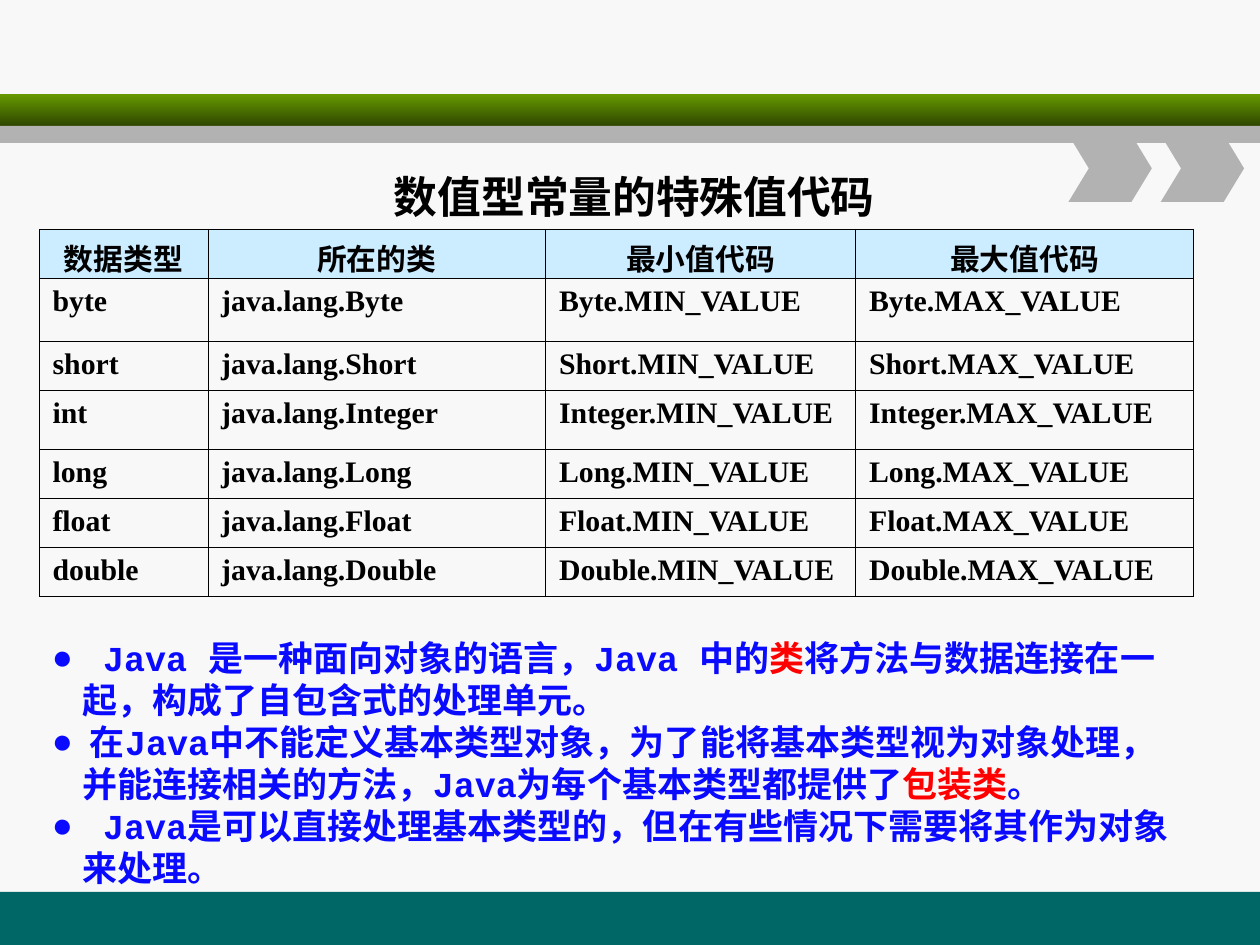
from lxml import etree
from pptx import Presentation
from pptx.dml.color import RGBColor
from pptx.enum.shapes import MSO_SHAPE
from pptx.enum.text import MSO_ANCHOR, MSO_AUTO_SIZE, PP_ALIGN
from pptx.oxml.ns import qn
from pptx.util import Cm, Pt

RECT = MSO_SHAPE.RECTANGLE
TOP = MSO_ANCHOR.TOP
GROW = MSO_AUTO_SIZE.SHAPE_TO_FIT_TEXT
LEFT, CENTER = PP_ALIGN.LEFT, PP_ALIGN.CENTER

BLACK = RGBColor(0, 0, 0)
PAPER = RGBColor(0xF8, 0xF8, 0xF8)
TEAL = RGBColor(0x00, 0x66, 0x66)
GREEN = RGBColor(0x66, 0x99, 0x00)
MOSS = RGBColor(0x2F, 0x47, 0x00)
GRAY = RGBColor(0xB2, 0xB2, 0xB2)
SKY = RGBColor(0xCC, 0xEC, 0xFF)
BLUE = RGBColor(0x0A, 0x0A, 0xFF)
RED = RGBColor(0xFF, 0, 0)

HEAD = {"name": "Courier New", "size": Pt(25), "bold": True}
BODY = {"name": "Courier New", "size": Pt(20), "bold": True}
CELL = {"name": "Times New Roman", "size": Pt(17), "bold": True}

TITLE = "数值型常量的特殊值代码"
LABELS = ["数据类型", "所在的类", "最小值代码", "最大值代码"]
TYPES = {"byte": "Byte", "short": "Short", "int": "Integer",
         "long": "Long", "float": "Float", "double": "Double"}
COLS = [3.4, 6.81, 6.25, 6.81]
ROWS = [0.99, 1.27, 0.99, 1.19, 0.99, 0.99, 0.99]

# Each point is a list of (text, colour) runs
POINTS = [
    [(" Java 是一种面向对象的语言，Java 中的", BLUE), ("类", RED),
     ("将方法与数据连接在一起，构成了自包含式的处理单元。", BLUE)],
    [(" 在Java中不能定义基本类型对象，为了能将基本类型视为对象处理，"
      "并能连接相关的方法，Java为每个基本类型都提供了", BLUE),
     ("包装类", RED), ("。", BLUE)],
    [(" Java是可以直接处理基本类型的，但在有些情况下需要将其作为对象来处理。",
      BLUE)],
]


def style(font, form, color):
    for key, val in form.items():
        setattr(font, key, val)
    font.color.rgb = color


def place(shape, *box):
    for key, val in zip(("left", "top", "width", "height"), box):
        setattr(shape, key, Cm(val))


def write(para, runs, form, align=LEFT):
    para.alignment = align
    para.space_before = Pt(0)
    for text, color in runs:
        run = para.add_run()
        run.text = text
        style(run.font, form, color)


def paint(shape, color):
    shape.fill.solid()
    shape.fill.fore_color.rgb = color
    shape.line.fill.background()
    shape.shadow.inherit = False


def bar(slide, top, high, color, end=None):
    shape = slide.shapes.add_shape(RECT, 0, Cm(top), Cm(25.4), Cm(high))
    paint(shape, color)
    if end is not None:
        shape.fill.gradient()
        shape.fill.gradient_angle = 270
        for stop, tone in zip(shape.fill.gradient_stops, (color, end)):
            stop.color.rgb = tone


def chevron(slide, left, top=2.72, wide=1.68, high=1.35, notch=0.41):
    mid, right = top + high / 2, left + wide
    dots = [(left, top), (right - notch, top), (right, mid),
            (right - notch, top + high), (left, top + high),
            (left + notch, mid)]
    dots = [(Cm(x), Cm(y)) for x, y in dots]
    build = slide.shapes.build_freeform(*dots[0])
    build.add_line_segments(dots[1:], close=True)
    paint(build.convert_to_shape(), GRAY)


def border(cell):
    props = cell._tc.get_or_add_tcPr()
    for side in ("lnL", "lnR", "lnT", "lnB"):
        line = etree.SubElement(props, qn("a:" + side), w=str(Pt(0.45)))
        fill = etree.SubElement(line, qn("a:solidFill"))
        etree.SubElement(fill, qn("a:srgbClr"), val=str(BLACK))


def grid(slide):
    data = [LABELS] + [
        [kind, f"java.lang.{name}", f"{name}.MIN_VALUE", f"{name}.MAX_VALUE"]
        for kind, name in TYPES.items()]
    table = slide.shapes.add_table(
        len(ROWS), len(COLS), Cm(0.79), Cm(4.62),
        Cm(sum(COLS)), Cm(sum(ROWS))).table
    table.first_row = table.horz_banding = False
    for col, wide in zip(table.columns, COLS):
        col.width = Cm(wide)
    for r, (row, high) in enumerate(zip(table.rows, ROWS)):
        row.height = Cm(high)
        for cell, text in zip(row.cells, data[r]):
            cell.margin_left = cell.margin_right = Cm(0.27)
            border(cell)
            if r == 0:
                cell.fill.solid()
                cell.fill.fore_color.rgb = SKY
            else:
                cell.fill.background()
            write(cell.text_frame.paragraphs[0], [(text, BLACK)], CELL,
                  LEFT if r else CENTER)


def bullet(para):
    props = para._p.get_or_add_pPr()
    props.set("marL", str(Cm(0.61)))
    props.set("indent", str(-Cm(0.61)))
    tint = etree.SubElement(props, qn("a:buClr"))
    etree.SubElement(tint, qn("a:srgbClr"), val=str(BLUE))
    etree.SubElement(props, qn("a:buChar"), char="●")


def frame(shape, *box):
    place(shape, *box)
    text = shape.text_frame
    text.word_wrap = True
    text.auto_size = GROW
    text.vertical_anchor = TOP
    return text


def main():
    deck = Presentation()
    deck.slide_width, deck.slide_height = Cm(25.4), Cm(19.05)
    slide = deck.slides.add_slide(deck.slide_layouts[1])
    slide.background.fill.solid()
    slide.background.fill.fore_color.rgb = PAPER

    # Bars and chevrons
    bar(slide, 17.98, 1.07, TEAL)
    bar(slide, 1.9, 0.64, GREEN, MOSS)
    bar(slide, 2.54, 0.34, GRAY)
    for left in (21.54, 23.4):
        chevron(slide, left)

    # Table of types
    grid(slide)

    # Title
    head = frame(slide.shapes.title, 5.94, 3.3, 13.69, 1.32)
    write(head.paragraphs[0], [(TITLE, BLACK)], HEAD, CENTER)

    # Bullet list
    body = frame(slide.placeholders[1], 0.79, 12.7, 23.27, 5.33)
    for i, runs in enumerate(POINTS):
        para = body.add_paragraph() if i else body.paragraphs[0]
        bullet(para)
        write(para, runs, BODY)

    deck.save("out.pptx")


if __name__ == "__main__":
    main()
